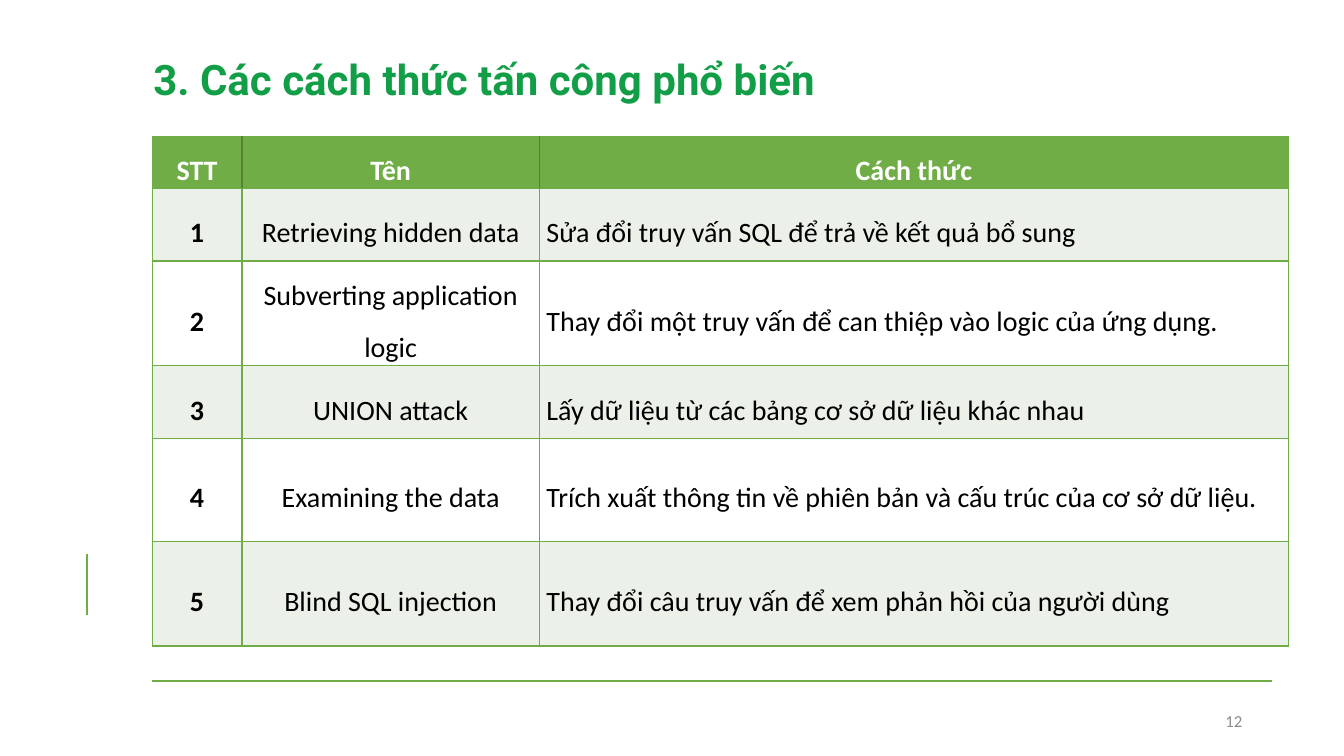
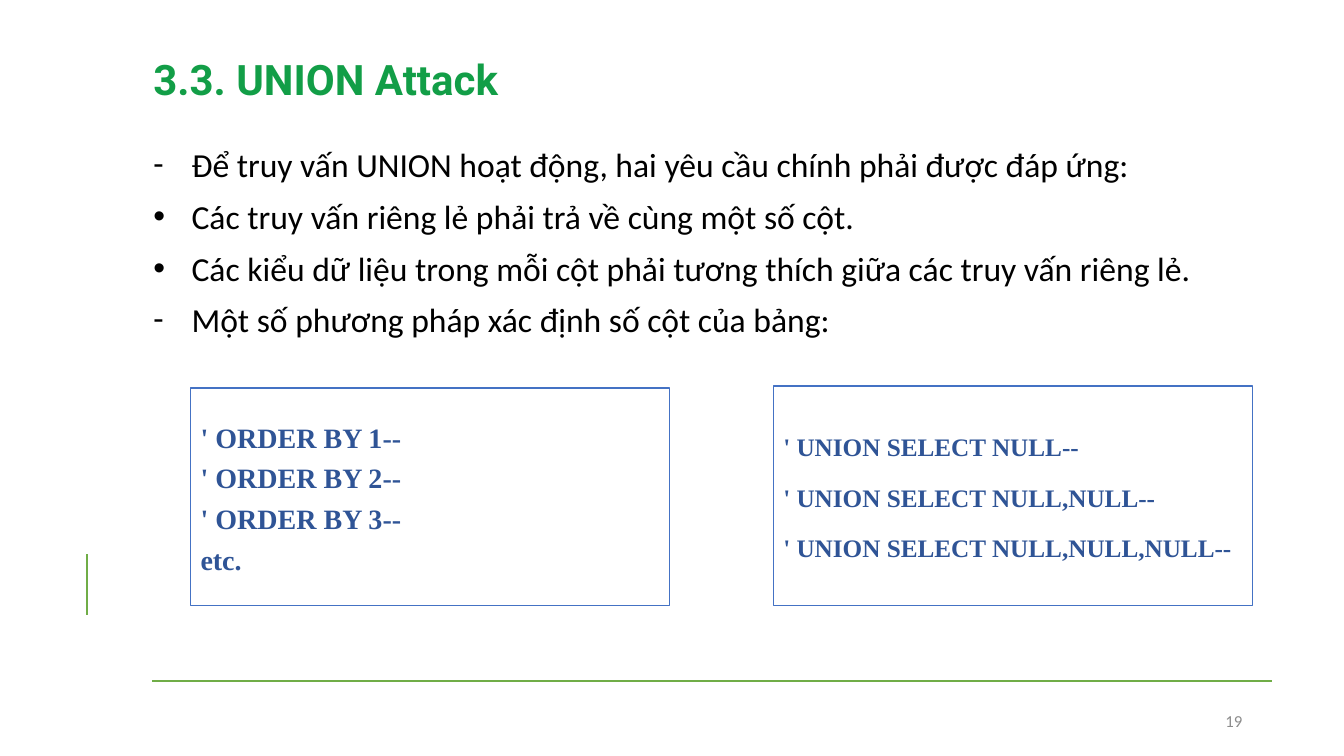
from pptx import Presentation
from pptx.dml.color import RGBColor
from pptx.enum import shapes, text
from pptx.oxml.ns import qn
from pptx.util import Inches, Pt
from lxml import etree

GREEN = RGBColor(0x70, 0xAD, 0x47)
DARK_GREEN = RGBColor(0x54, 0x82, 0x35)
TITLE_GREEN = RGBColor(0x12, 0x9E, 0x47)
PALE_GREEN = RGBColor(0xEB, 0xF1, 0xE9)
BLUE = RGBColor(0x44, 0x72, 0xC4)
CODE_BLUE = RGBColor(0x2F, 0x54, 0x96)
GRAY = RGBColor(0x8C, 0x8C, 0x8C)
BLACK = RGBColor(0, 0, 0)
WHITE = RGBColor(0xFF, 0xFF, 0xFF)

ALIGN = text.PP_ALIGN
MIDDLE = text.MSO_ANCHOR.MIDDLE
TITLE_ONLY, TITLE_AND_CONTENT = 5, 1

ROWS = [
    ("STT", "Tên", "Cách thức"),
    ("1", "Retrieving hidden data", "Sửa đổi truy vấn SQL để trả về kết quả bổ sung"),
    ("2", "Subverting application logic",
     "Thay đổi một truy vấn để can thiệp vào logic của ứng dụng."),
    ("3", "UNION attack", "Lấy dữ liệu từ các bảng cơ sở dữ liệu khác nhau"),
    ("4", "Examining the data",
     "Trích xuất thông tin về phiên bản và cấu trúc của cơ sở dữ liệu."),
    ("5", "Blind SQL injection", "Thay đổi câu truy vấn để xem phản hồi của người dùng"),
]
COL_WIDTHS = (0.89, 2.95, 7.43)
ROW_HEIGHTS = (0.51, 0.72, 1.04, 0.72, 1.02, 1.04)

BULLETS = [
    ("-", "Để truy vấn UNION hoạt động, hai yêu cầu chính phải được đáp ứng:"),
    ("•", "Các truy vấn riêng lẻ phải trả về cùng một số cột."),
    ("•", "Các kiểu dữ liệu trong mỗi cột phải tương thích giữa các truy vấn riêng lẻ."),
    ("-", "Một số phương pháp xác định số cột của bảng:"),
]
ORDER_BY = ["' ORDER BY 1--", "' ORDER BY 2--", "' ORDER BY 3--", "etc."]
UNION_SELECT = ["' UNION SELECT " + ",".join(["NULL"] * n) + "--" for n in (1, 2, 3)]


def place(sp, box):
    sp.left, sp.top, sp.width, sp.height = (Inches(v) for v in box)


def style(p, size, color, font="Calibri", bold=False, align=ALIGN.LEFT, spacing=1.0, before=0):
    p.alignment = align
    p.line_spacing = spacing
    p.space_before = Pt(before)
    for r in p.runs:
        r.font.size = Pt(size)
        r.font.name = font
        r.font.bold = bold
        r.font.color.rgb = color


def add_rule(s, x1, y1, x2, y2):
    line = s.shapes.add_connector(
        shapes.MSO_CONNECTOR.STRAIGHT, Inches(x1), Inches(y1), Inches(x2), Inches(y2))
    line.line.color.rgb = GREEN
    line.line.width = Pt(1.5)
    etree.SubElement(line._element.spPr, qn("a:effectLst"))


def add_page_number(s, box, number):
    sp = s.shapes.add_textbox(*(Inches(v) for v in box))
    tf = sp.text_frame
    tf.word_wrap = True
    tf.vertical_anchor = MIDDLE
    tf.text = str(number)
    style(tf.paragraphs[0], 12, GRAY, align=ALIGN.RIGHT)


def new_slide(prs, layout, title, number):
    s = prs.slides.add_slide(prs.slide_layouts[layout])
    add_rule(s, 1.51, 6.76, 12.62, 6.76)
    add_rule(s, 0.86, 5.5, 0.86, 6.1)
    place(s.shapes.title, (1.42, 0.43, 8, 0.66))
    tf = s.shapes.title.text_frame
    tf.auto_size = text.MSO_AUTO_SIZE.NONE
    tf.vertical_anchor = text.MSO_ANCHOR.BOTTOM
    tf.text = title
    style(tf.paragraphs[0], 30, TITLE_GREEN, "Roboto", True, spacing=0.9)
    add_page_number(s, (9.42, 6.95, 3, 0.4), number)
    return s


def set_borders(cell, colors):
    tcPr = cell._tc.get_or_add_tcPr()
    for i, (side, color) in enumerate(zip(("lnL", "lnR", "lnT", "lnB"), colors)):
        ln = etree.Element(qn("a:" + side), w=str(Pt(1)))
        fill = etree.SubElement(ln, qn("a:solidFill"))
        etree.SubElement(fill, qn("a:srgbClr"), val=str(color))
        tcPr.insert(i, ln)


def add_attack_table(s, left, top):
    frame = s.shapes.add_table(
        len(ROWS), len(COL_WIDTHS), Inches(left), Inches(top),
        Inches(sum(COL_WIDTHS)), Inches(sum(ROW_HEIGHTS)))
    table = frame.table
    table.horz_banding = False
    for column, width in zip(table.columns, COL_WIDTHS):
        column.width = Inches(width)
    last = len(COL_WIDTHS) - 1
    for i, (row, height) in enumerate(zip(table.rows, ROW_HEIGHTS)):
        row.height = Inches(height)
        header = i == 0
        for j, cell in enumerate(row.cells):
            cell.text = ROWS[i][j]
            cell.vertical_anchor = MIDDLE
            cell.margin_left = cell.margin_right = Inches(0.07)
            cell.margin_top = cell.margin_bottom = 0
            cell.fill.solid()
            cell.fill.fore_color.rgb = GREEN if header else PALE_GREEN if i % 2 else WHITE
            style(cell.text_frame.paragraphs[0], 20, WHITE if header else BLACK,
                  bold=header or j == 0, spacing=1.5,
                  align=ALIGN.CENTER if header or j < last else ALIGN.JUSTIFY)
            set_borders(cell, (DARK_GREEN if header and j > 0 else GREEN,
                               DARK_GREEN if header and j < last else GREEN,
                               GREEN, GREEN))


def set_bullet(p, char):
    pPr = p._p.get_or_add_pPr()
    pPr.set("marL", str(Inches(0.38)))
    pPr.set("indent", str(-Inches(0.38)))
    etree.SubElement(pPr, qn("a:buFont"), typeface="Arial" if char == "•" else "Calibri")
    etree.SubElement(pPr, qn("a:buChar"), char=char)


def fill_bullets(sp, box):
    place(sp, box)
    tf = sp.text_frame
    tf.auto_size = text.MSO_AUTO_SIZE.NONE
    tf.text = "\n".join(line for _, line in BULLETS)
    for p, (char, _) in zip(tf.paragraphs, BULLETS):
        style(p, 24, BLACK, align=ALIGN.JUSTIFY, spacing=1.28)
        set_bullet(p, char)


def add_code_box(s, box, lines, size, before):
    sp = s.shapes.add_shape(shapes.MSO_SHAPE.RECTANGLE, *(Inches(v) for v in box))
    sp.shadow.inherit = False
    sp.fill.solid()
    sp.fill.fore_color.rgb = WHITE
    sp.line.color.rgb = BLUE
    sp.line.width = Pt(1)
    tf = sp.text_frame
    tf.word_wrap = True
    tf.vertical_anchor = MIDDLE
    tf.text = "\n".join(lines)
    for p in tf.paragraphs:
        style(p, size, CODE_BLUE, "Times New Roman", True, spacing=1.07, before=before)


def build_attack_list(prs):
    s = new_slide(prs, TITLE_ONLY, "3. Các cách thức tấn công phổ biến", 12)
    add_attack_table(s, 1.51, 1.36)


def build_union_attack(prs):
    s = new_slide(prs, TITLE_AND_CONTENT, "3.3. UNION Attack", 19)
    fill_bullets(s.placeholders[1], (1.42, 1.27, 11.2, 2.3))
    add_code_box(s, (1.89, 3.85, 4.75, 2.16), ORDER_BY, 20, 3.3)
    add_code_box(s, (7.67, 3.83, 4.75, 2.18), UNION_SELECT, 18, 13)


def main():
    prs = Presentation()
    prs.slide_width, prs.slide_height = Inches(13.33), Inches(7.5)
    build_attack_list(prs)
    build_union_attack(prs)
    prs.save("out.pptx")


if __name__ == "__main__":
    main()
